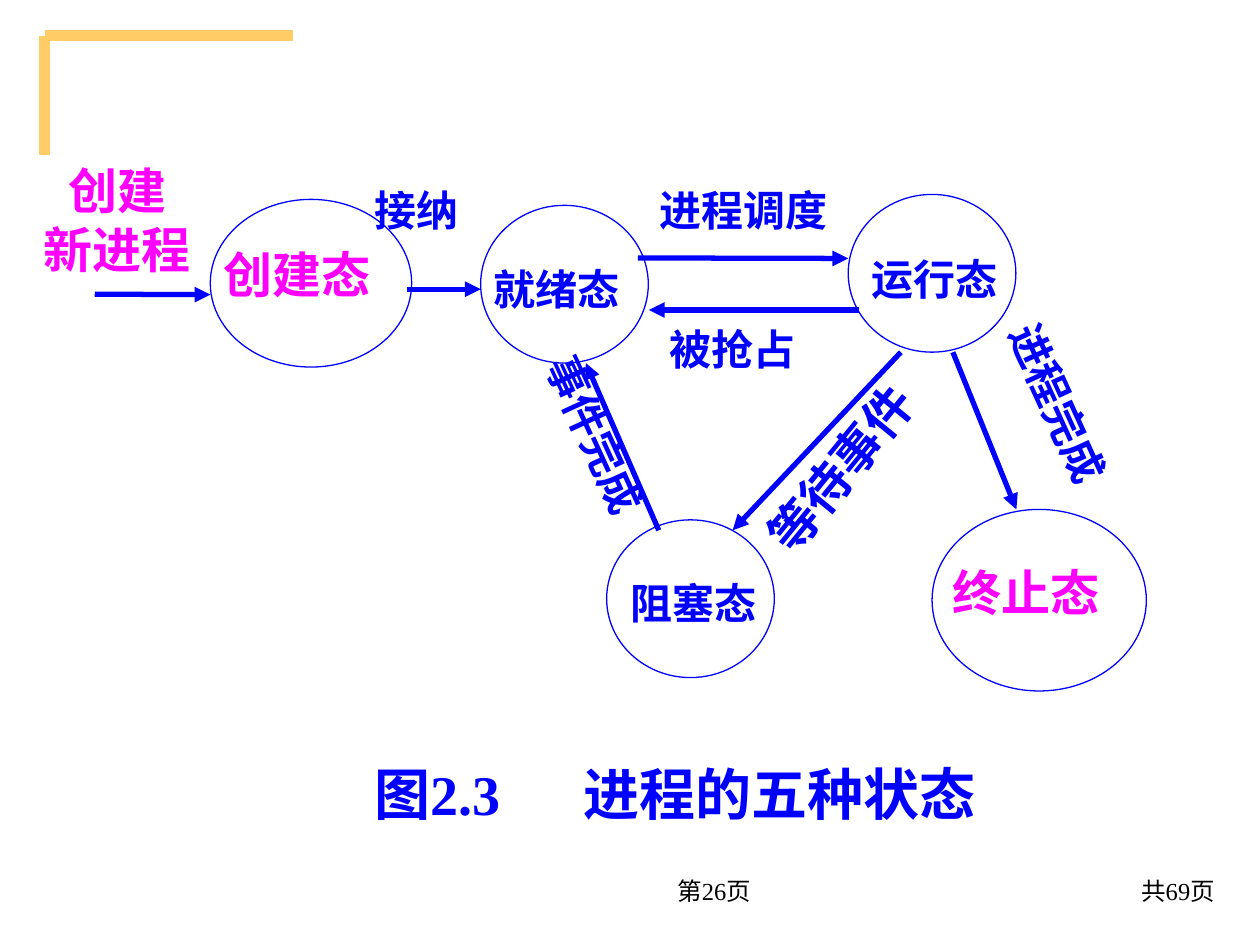
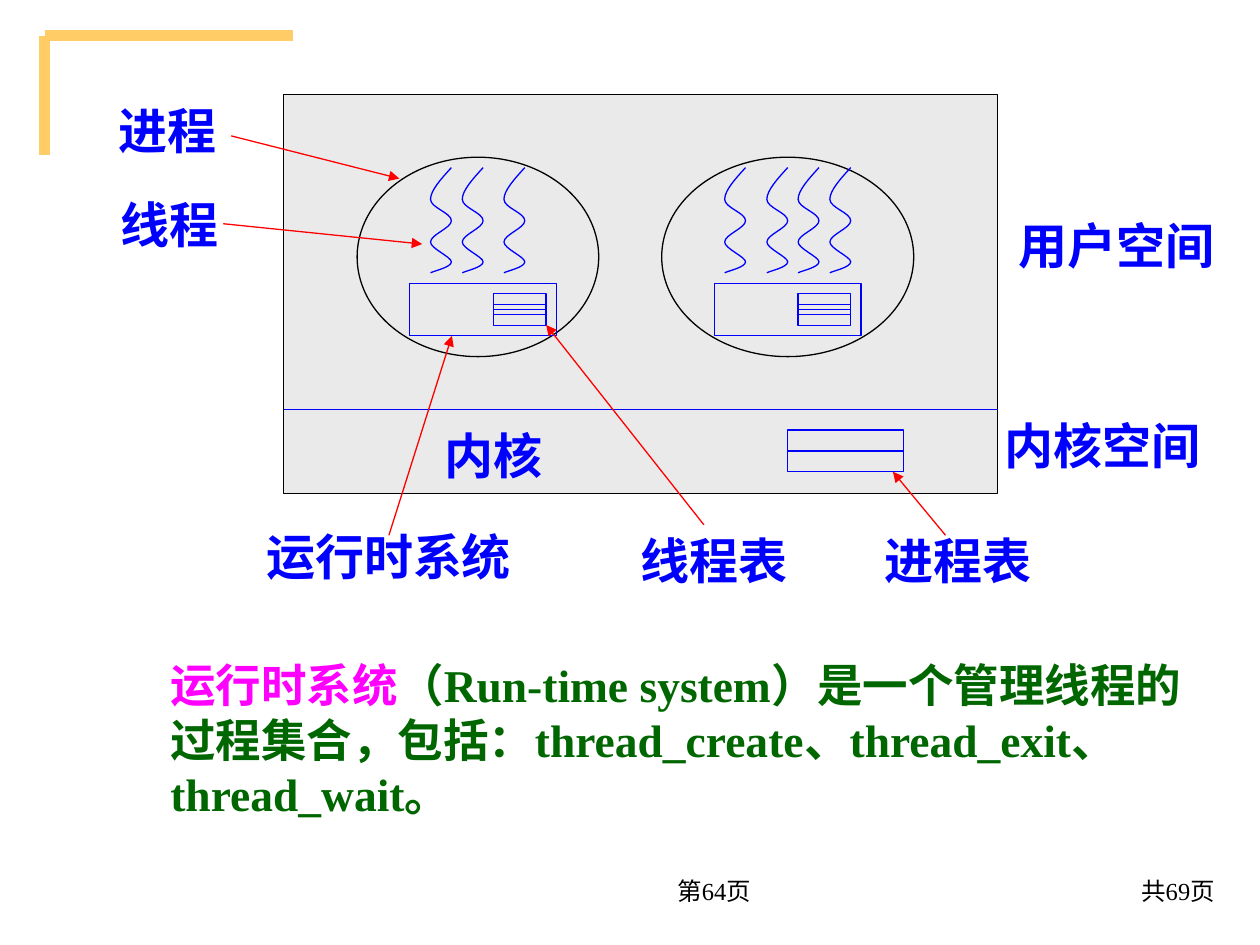
from lxml import etree
from pptx import Presentation
from pptx.dml.color import RGBColor
from pptx.enum.shapes import MSO_CONNECTOR, MSO_SHAPE
from pptx.enum.text import MSO_ANCHOR, PP_ALIGN
from pptx.oxml.ns import qn
from pptx.util import Cm, Pt

LINE = MSO_CONNECTOR.STRAIGHT
OVAL, RECT = MSO_SHAPE.OVAL, MSO_SHAPE.RECTANGLE
LEFT, MID, RIGHT = PP_ALIGN.LEFT, PP_ALIGN.CENTER, PP_ALIGN.RIGHT
TOP, CENTRE = MSO_ANCHOR.TOP, MSO_ANCHOR.MIDDLE
BLANK, BODY = 6, 1
FONT = "Times New Roman"
BLUE, PINK, GREEN, RED = "0000FF", "FF00FF", "006600", "FF0000"
GOLD, GREY, BLACK = "FFCC66", "EAEAEA", "000000"
PT_CM = 2.54 / 72


def paint(target, color):
    """Set a solid colour on a fill, or clear the fill when no colour is given."""
    if color is None:
        target.background()
    else:
        target.solid()
        target.fore_color.rgb = RGBColor.from_string(color)


def text(slide, words, box, size=28, color=BLUE, bold=True, align=LEFT, pad=True,
         wrap=True, turn=0, anchor=TOP, space=None, tab=None, holder=None, inset=0):
    """Fill a holder or a new box; words is a string or (string, colour) runs."""
    box = [Cm(v) for v in box]
    shape = holder or slide.shapes.add_textbox(*box)
    shape.left, shape.top, shape.width, shape.height = box
    shape.rotation = turn
    frame = shape.text_frame
    frame.word_wrap, frame.vertical_anchor = wrap, anchor
    if not pad:
        frame.margin_left = frame.margin_right = 0
        frame.margin_top = frame.margin_bottom = 0
    runs = [(words, color)] if isinstance(words, str) else words
    lines = [[]]
    for part, tint in runs:
        first, *rest = part.split("\n")
        lines[-1].append((first, tint))
        lines += [[(row, tint)] for row in rest]
    for i, row in enumerate(lines):
        para = frame.add_paragraph() if i else frame.paragraphs[0]
        props = para._p.get_or_add_pPr()
        if holder:
            props.set("marL", str(Cm(inset)))
            props.set("indent", "0")
            etree.SubElement(props, qn("a:buNone"))
            para.space_before = 0
        if tab:
            stops = etree.SubElement(props, qn("a:tabLst"))
            etree.SubElement(stops, qn("a:tab"), pos=str(Cm(tab)), algn="l")
        para.alignment = align
        if space:
            para.line_spacing = space
        for part, tint in row:
            run = para.add_run()
            run.text = part
            run.font.name, run.font.size, run.font.bold = FONT, Pt(size), bold
            run.font.color.rgb = RGBColor.from_string(tint)


def tag(slide, words, x, y, **style):
    """Place a tight label whose box follows from its text."""
    size = style.get("size", 28)
    rows = words.split("\n")
    width = max(map(len, rows)) * size * PT_CM
    height = len(rows) * size * PT_CM * 1.2
    text(slide, words, (x, y, width, height), pad=False, wrap=False, **style)


def outline(shape, color, fill=None):
    shape.shadow.inherit = False
    paint(shape.fill, fill)
    paint(shape.line.fill, color)
    shape.line.width = Pt(0.75)
    return shape


def block(slide, kind, box, color=BLUE, fill=None):
    shape = slide.shapes.add_shape(kind, *map(Cm, box))
    return outline(shape, color, fill)


def line(slide, x1, y1, x2, y2, color=BLUE, width=0.75, arrow=False):
    link = slide.shapes.add_connector(LINE, Cm(x1), Cm(y1), Cm(x2), Cm(y2))
    paint(link.line.fill, color)
    link.line.width = Pt(width)
    if arrow:
        etree.SubElement(link.line._get_or_add_ln(), qn("a:tailEnd"), type="triangle")
    etree.SubElement(link._element.spPr, qn("a:effectLst"))
    return link


def base(deck, page, layout):
    """Add a slide with the corner mark and the page footers."""
    slide = deck.slides.add_slide(deck.slide_layouts[layout])
    x, y = 0.9, 0.72
    line(slide, x, y, 5.9, y, GOLD, 6)
    line(slide, x, y, x, 3.12, GOLD, 6)
    for words, left, width in (("共69页", 16.69, 8.05), (f"第{page}页", 10.11, 5.28)):
        text(slide, words, (left, 17.32, width, 1.27), size=14, color=BLACK,
             bold=False, align=RIGHT, anchor=CENTRE)
    return slide


def states(slide, x, y):
    """Draw the state diagram from its top left corner."""
    small, large = 24, 28
    moves = [
        (1.01, 2.73, 3.34, 2.74), (7.3, 2.63, 8.79, 2.63),
        (11.96, 2, 16.2, 2.01), (16.41, 3.05, 12.18, 3.05),
        (18.31, 3.9, 19.59, 7.07), (17.26, 3.9, 13.87, 7.49),
        (12.38, 7.49, 10.91, 4.12),
    ]
    for x1, y1, x2, y2 in moves:
        line(slide, x + x1, y + y1, x + x2, y + y2, width=3, arrow=True)

    nodes = [  # name, oval box, name offset, size, colour
        ("创建态", 3.34, 0.82, 4.06, 3.38, 0.26, 0.91, large, PINK),
        ("就绪态", 8.79, 0.94, 3.38, 3.18, 0.25, 1.17, small, BLUE),
        ("运行态", 16.2, 0.72, 3.38, 3.18, 0.46, 1.2, small, BLUE),
        ("阻塞态", 11.33, 7.28, 3.38, 3.18, 0.48, 1.16, small, BLUE),
        ("终止态", 17.89, 7.07, 4.32, 3.66, 0.42, 1.06, large, PINK),
    ]
    for name, left, top, w, h, dx, dy, size, color in nodes:
        block(slide, OVAL, (x + left, y + top, w, h))
        tag(slide, name, x + left + dx, y + top + dy, size=size, color=color)

    labels = [
        ("接纳", 6.66, 0.53, small, 0), ("进程调度", 12.4, 0.51, small, 0),
        ("被抢占", 12.6, 3.33, small, 0), ("事件完成", 9.41, 5.05, small, 65.4),
        ("等待事件", 14.06, 5.64, large, -50.7), ("进程完成", 18.74, 4.42, small, 65.5),
    ]
    for name, left, top, size, turn in labels:
        tag(slide, name, x + left, y + top, size=size, turn=turn)
    tag(slide, "创建\n新进程", x - 0.02, y + 0.04, color=PINK, align=MID)


def thread(slide, x, y):
    """Draw one wavy thread as a chain of cubic curves."""
    wide = 0.42
    marks = [  # two controls and an end per curve: x as a share, y in cm
        (0.5, 0.23), (0, 0.46), (0, 0.64),
        (0, 0.81), (1, 0.91), (1, 1.07),
        (1, 1.22), (0, 1.35), (0, 1.5),
        (0, 1.63), (1, 1.8), (1, 1.9),
        (1, 2.01), (0.17, 2.08), (0, 2.12),
    ]
    pen = slide.shapes.build_freeform(Cm(x + wide), Cm(y))
    pen.add_line_segments([(Cm(x + a * wide), Cm(y + b)) for a, b in marks], close=False)
    wave = outline(pen.convert_to_shape(), BLUE)
    legs = list(wave._element.iter(qn("a:lnTo")))
    for i in range(0, len(legs), 3):
        curve = etree.SubElement(legs[i].getparent(), qn("a:cubicBezTo"))
        for leg in legs[i:i + 3]:
            curve.append(leg[0])
            leg.getparent().remove(leg)


def table(slide, x, y, w, h):
    """Draw a small table sign: a box with a line across its middle."""
    frame = block(slide, RECT, (x, y, w, h))
    rule = line(slide, x, y + h / 2, x + w, y + h / 2)
    rule.begin_connect(frame, 1)
    rule.end_connect(frame, 3)


def process(slide, x, y, w, threads):
    """Draw a process with its threads, runtime system and thread table."""
    block(slide, OVAL, (x, y, w, 4.02), BLACK)
    block(slide, RECT, (x + 1.06, y + 2.54, 2.96, 1.06))
    left, top, wide, high = x + 2.75, y + 2.75, 1.06, 0.64
    table(slide, left, top, wide, high)
    for gap in (-0.1, 0.1):
        row = top + high / 2 + gap
        line(slide, left, row, left + wide, row)
    for dx in threads:
        thread(slide, x + dx, y + 0.21)


def memory(slide, x, y, w, h):
    """Draw user and kernel space, with the labels around the frame."""
    block(slide, RECT, (x, y, w, h), BLACK, GREY)
    process(slide, x + 1.48, y + 1.27, 4.87, (1.48, 2.12, 2.96))
    process(slide, x + 7.62, y + 1.27, 5.08, (1.27, 2.12, 2.75, 3.39))
    line(slide, x, y + 6.35, x + w, y + 6.35)
    table(slide, x + 10.16, y + 6.77, 2.33, 0.84)

    labels = [
        ("进程", -4.45, 0, 4.23), ("线程", -3.63, 1.9, 2.65),
        ("用户空间", 14.38, 2.33, 4.8), ("内核空间", 13.97, 6.35, 5.08),
        ("内核", 2.54, 6.56, 3.39), ("线程表", 6.77, 8.68, 3.81),
        ("进程表", 11.68, 8.68, 3.81),
    ]
    for name, left, top, wide in labels:
        text(slide, name, (x + left, y + top, wide, 1.45), align=MID)
    text(slide, "运行时系统", (x - 2.33, y + 8.68, 8.89, 1.4), align=MID, space=0.95)

    arrows = [
        (-1.06, 0.84, 2.33, 1.7), (-1.22, 2.61, 2.79, 3.02),
        (2.12, 8.89, 3.39, 4.87), (8.47, 8.68, 5.29, 4.65),
        (13.34, 8.89, 12.28, 7.61),
    ]
    for x1, y1, x2, y2 in arrows:
        line(slide, x + x1, y + y1, x + x2, y + y2, RED, arrow=True)


def main():
    deck = Presentation()
    deck.slide_width, deck.slide_height = Cm(25.4), Cm(19.05)

    slide = base(deck, 26, BLANK)
    text(slide, "图2.3\t进程的五种状态", (7.3, 15.19, 12.65, 1.63), size=32, tab=4.21)
    states(slide, 0.9, 3.2)

    slide = base(deck, 64, BODY)
    title, body = slide.placeholders
    title._element.getparent().remove(title._element)
    note = [
        ("运行时系统", PINK),
        ("（Run-time system）是一个管理线程的过程集合，包括："
         "thread_create、thread_exit、thread_wait。", GREEN),
    ]
    text(slide, note, (1.48, 13.12, 22.65, 4.45), size=26, holder=body, inset=1.7)
    memory(slide, 5.72, 1.9, 14.39, 8.05)

    deck.save("out.pptx")


if __name__ == "__main__":
    main()
